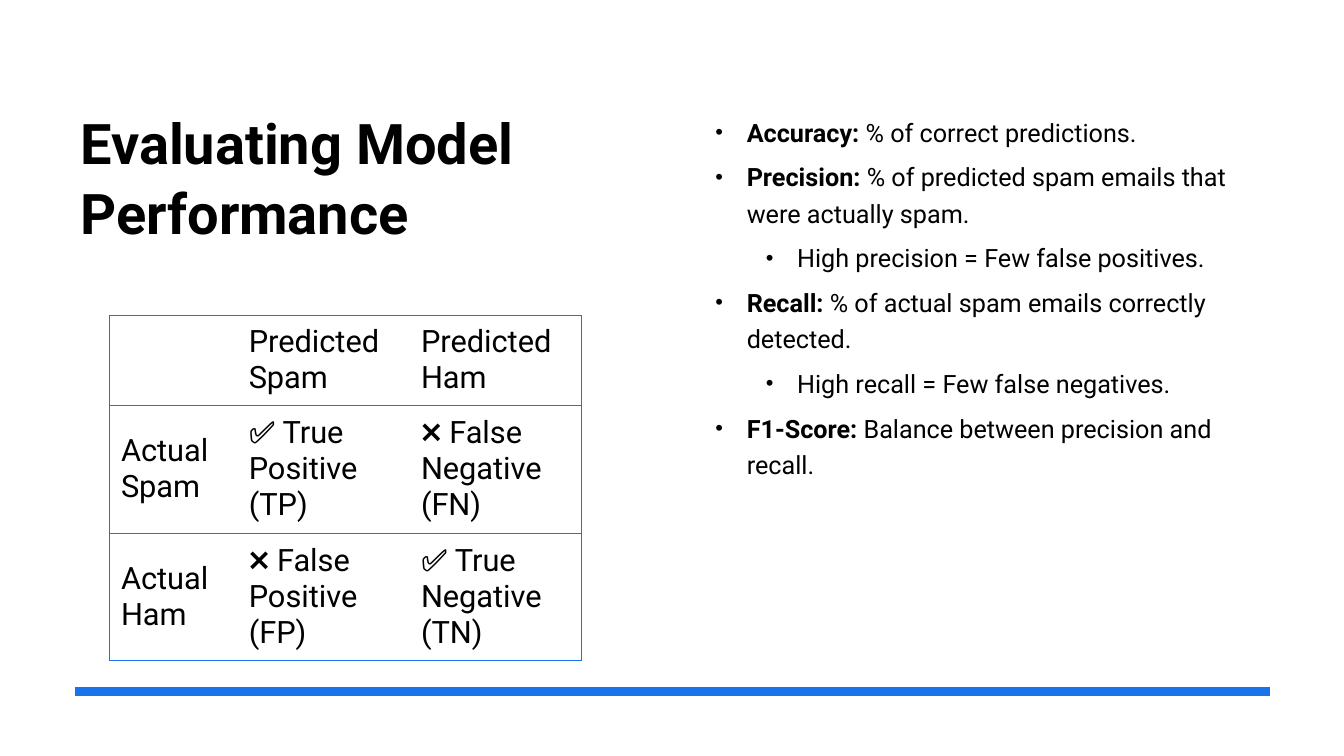
from lxml.etree import SubElement
from pptx import Presentation
from pptx.dml.color import RGBColor
from pptx.enum.shapes import MSO_CONNECTOR as Connector
from pptx.enum.text import MSO_ANCHOR as Anchor
from pptx.oxml.ns import qn
from pptx.util import Cm, Pt

BLACK = RGBColor(0x00, 0x00, 0x00)
BLUE = RGBColor(0x19, 0x73, 0xEB)

METRICS = [  # level, bold lead, explanation
    (0, "Accuracy:", "\u00a0% of correct predictions."),
    (0, "Precision:", "\u00a0% of predicted spam emails that were actually spam."),
    (1, "", "High precision = Few false positives."),
    (0, "Recall:", "\u00a0% of actual spam emails correctly detected."),
    (1, "", "High recall = Few false negatives."),
    (0, "F1-Score:", "\u00a0Balance between precision and recall."),
]
CONFUSION_MATRIX = [
    ["", "Predicted Spam", "Predicted Ham"],
    ["Actual Spam", "✅ True Positive (TP)", "❌ False Negative (FN)"],
    ["Actual Ham", "❌ False Positive (FP)", "✅ True Negative (TN)"],
]


class SlideBuilder:
    font = "Roboto"
    color = BLACK
    accent = BLUE

    def __init__(self, slide):
        self.slide = slide

    def style_run(self, run, size, bold=False):
        run.font.name = self.font
        run.font.size = Pt(size)
        run.font.bold = bold
        run.font.color.rgb = self.color

    def text_frame(self, left, top, width, height):
        box = self.slide.shapes.add_textbox(Cm(left), Cm(top), Cm(width), Cm(height))
        box.text_frame.word_wrap = True
        return box.text_frame

    def title(self, text, *place):
        paragraph = self.text_frame(*place).paragraphs[0]
        paragraph.text = text
        paragraph.line_spacing = 1.04
        self.style_run(paragraph.runs[0], 40, bold=True)

    def bullets(self, items, *place):
        frame = self.text_frame(*place)
        for index, (level, lead, text) in enumerate(items):
            paragraph = frame.add_paragraph() if index else frame.paragraphs[0]
            paragraph.level = level
            paragraph.line_spacing = 1.2
            paragraph.space_after = Pt(6)
            properties = paragraph._p.get_or_add_pPr()
            properties.set("marL", str(Cm(0.79 + 1.27 * level)))
            properties.set("indent", str(Cm(-0.79)))
            SubElement(properties, qn("a:buSzPct"), val="87000")
            SubElement(properties, qn("a:buFont"), typeface="Arial")
            SubElement(properties, qn("a:buChar"), char="•")
            for part, bold in ((lead, True), (text, False)):
                if part:
                    run = paragraph.add_run()
                    run.text = part
                    self.style_run(run, 18, bold)

    def rule(self, left, right, y, width):
        line = self.slide.shapes.add_connector(
            Connector.STRAIGHT, Cm(left), Cm(y), Cm(right), Cm(y))
        line.line.color.rgb = self.accent
        line.line.width = Pt(width)
        SubElement(line._element.spPr, qn("a:effectLst"))

    def border(self, cell, side, visible):
        properties = cell._tc.get_or_add_tcPr()
        edge = SubElement(properties, qn(f"a:ln{side}"), w=str(Pt(0.5)))
        if visible:
            fill = SubElement(edge, qn("a:solidFill"))
            SubElement(fill, qn("a:srgbClr"), val=str(self.accent))
        else:
            SubElement(edge, qn("a:noFill"))

    def table(self, rows, left, top, widths, heights):
        table = self.slide.shapes.add_table(
            len(rows), len(widths), Cm(left), Cm(top),
            Cm(sum(widths)), Cm(sum(heights))).table
        table.first_row = table.horz_banding = False
        for column, width in zip(table.columns, widths):
            column.width = Cm(width)
        for row, height in zip(table.rows, heights):
            row.height = Cm(height)
        last = len(widths) - 1
        for r, texts in enumerate(rows):
            for c, text in enumerate(texts):
                cell = table.cell(r, c)
                cell.text = text
                cell.vertical_anchor = Anchor.MIDDLE
                cell.margin_left = cell.margin_right = Cm(0.3)
                cell.margin_top = cell.margin_bottom = Cm(0.15)
                for run in cell.text_frame.paragraphs[0].runs:
                    self.style_run(run, 22)
                # Horizontal lines everywhere, vertical ones only outside
                for side, visible in (("L", c == 0), ("R", c == last),
                                      ("T", True), ("B", True)):
                    self.border(cell, side, visible)
                cell.fill.background()


def main():
    presentation = Presentation()
    presentation.slide_width, presentation.slide_height = Cm(33.87), Cm(19.05)
    builder = SlideBuilder(presentation.slides.add_slide(presentation.slide_layouts[6]))

    # Heading and metric definitions
    builder.title("Evaluating Model Performance", 1.78, 2.54, 13.54, 4.37)
    builder.bullets(METRICS, 17.78, 2.67, 14.25, 13.94)

    # Footer rule and confusion matrix
    builder.rule(1.88, 32, 17.42, 6)
    builder.table(CONFUSION_MATRIX, 2.75, 7.94, [3.22, 4.34, 4.34], [2.27, 3.22, 3.22])

    presentation.save("out.pptx")


if __name__ == "__main__":
    main()
